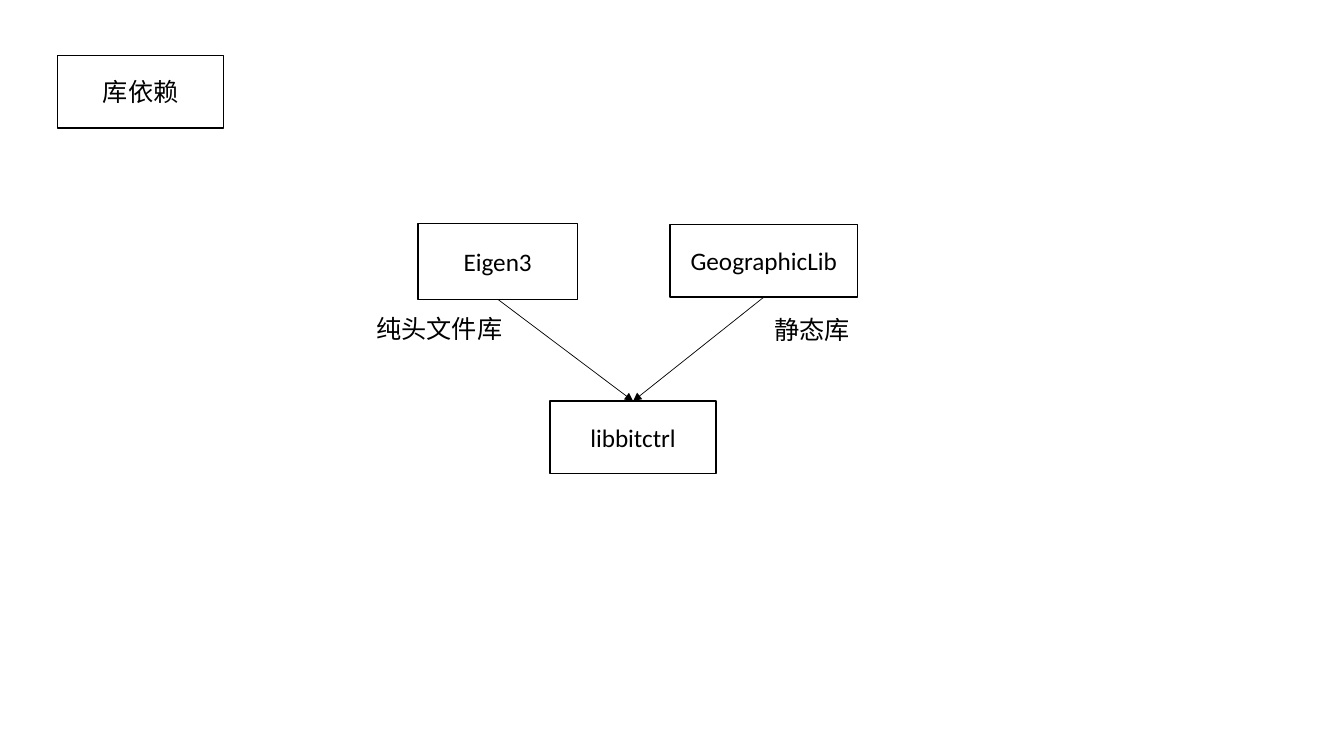
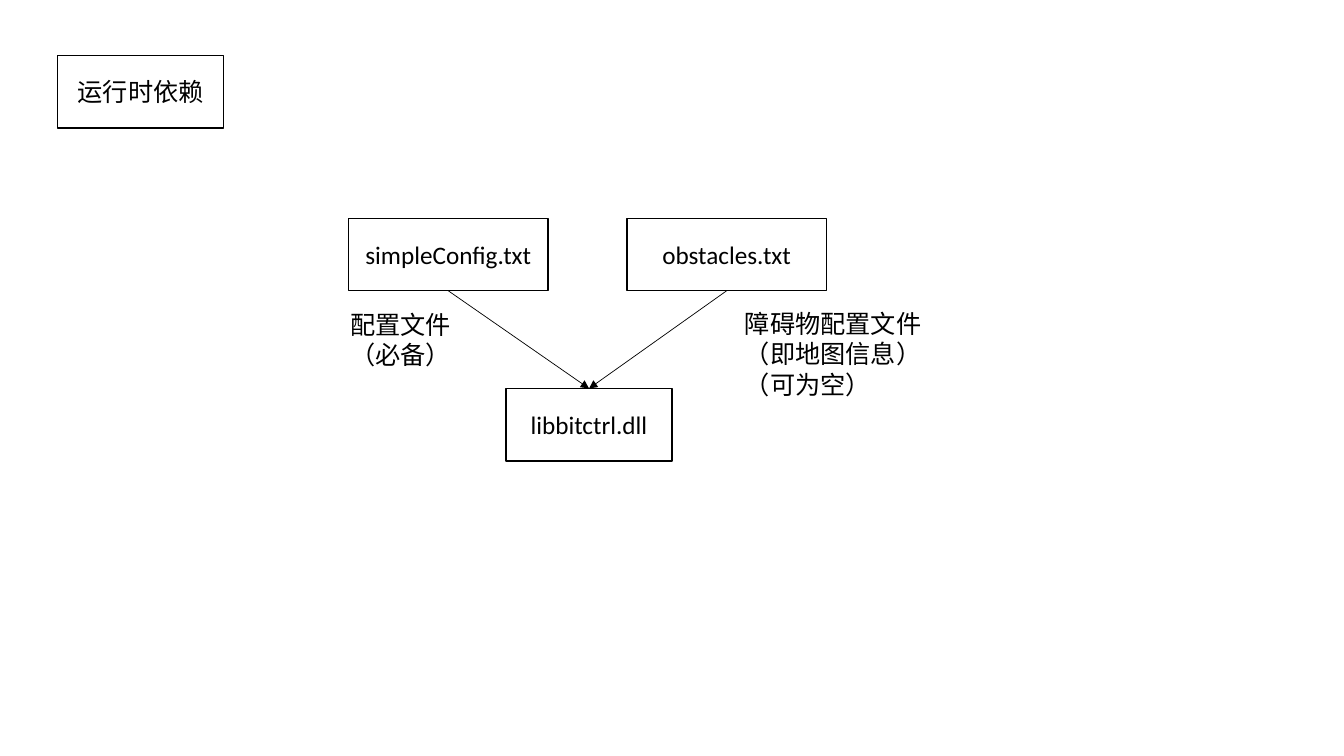
from dataclasses import dataclass

from lxml import etree
from pptx import Presentation
from pptx.dml.color import RGBColor
from pptx.enum.shapes import MSO_CONNECTOR, MSO_SHAPE
from pptx.enum.text import MSO_ANCHOR, MSO_AUTO_SIZE, PP_ALIGN
from pptx.oxml.ns import qn
from pptx.util import Pt

RECTANGLE = MSO_SHAPE.RECTANGLE
STRAIGHT = MSO_CONNECTOR.STRAIGHT
LEFT, CENTER = PP_ALIGN.LEFT, PP_ALIGN.CENTER
TOP, MIDDLE = MSO_ANCHOR.TOP, MSO_ANCHOR.MIDDLE
FIT_SHAPE = MSO_AUTO_SIZE.SHAPE_TO_FIT_TEXT
EMU_PER_PX = 9525
TOP_SITE, BOTTOM_SITE = 0, 2
BLANK_LAYOUT = 6


@dataclass(frozen=True)
class Theme:
    ink: RGBColor = RGBColor(0, 0, 0)
    paper: RGBColor = RGBColor(255, 255, 255)
    font: str = "Calibri"
    text_size: float = 18
    box_line: float = 1
    arrow_line: float = 0.5
    box_width: int = 158
    box_height: int = 69


THEME = Theme()


def px(*lengths):
    return [length * EMU_PER_PX for length in lengths]


def write(frame, text, align=LEFT, anchor=TOP):
    """Fill a text frame, one paragraph for each line of text."""
    frame.word_wrap = True
    frame.vertical_anchor = anchor
    frame.text = text
    for paragraph in frame.paragraphs:
        paragraph.alignment = align
        font = paragraph.font
        font.name = THEME.font
        font.size = Pt(THEME.text_size)
        font.color.rgb = THEME.ink


def add_box(slide, text, left, top, width=THEME.box_width, height=THEME.box_height):
    box = slide.shapes.add_shape(RECTANGLE, *px(left, top, width, height))
    box.shadow.inherit = False
    box.fill.background()
    box.line.color.rgb = THEME.ink
    box.line.width = Pt(THEME.box_line)
    write(box.text_frame, text, align=CENTER, anchor=MIDDLE)
    return box


def add_label(slide, text, left, top, width, height):
    label = slide.shapes.add_textbox(*px(left, top, width, height))
    write(label.text_frame, text)
    label.text_frame.auto_size = FIT_SHAPE


def add_arrow(slide, source, target):
    """Join the bottom of source to the top of target."""
    arrow = slide.shapes.add_connector(STRAIGHT, 0, 0, 0, 0)
    arrow.begin_connect(source, BOTTOM_SITE)
    arrow.end_connect(target, TOP_SITE)
    arrow.line.color.rgb = THEME.ink
    arrow.line.width = Pt(THEME.arrow_line)
    etree.SubElement(arrow.line._get_or_add_ln(), qn("a:tailEnd"), type="triangle")
    etree.SubElement(arrow._element.spPr, qn("a:effectLst"))


def add_dependency_slide(prs, title, library, dependencies):
    """Each dependency is a pair: box arguments and label arguments."""
    slide = prs.slides.add_slide(prs.slide_layouts[BLANK_LAYOUT])
    slide.background.fill.solid()
    slide.background.fill.fore_color.rgb = THEME.paper
    add_box(slide, title, 55, 53)
    library_box = add_box(slide, *library)
    for box, label in dependencies:
        add_arrow(slide, add_box(slide, *box), library_box)
        add_label(slide, *label)


def main():
    prs = Presentation()
    prs.slide_width, prs.slide_height = px(1280, 720)
    add_dependency_slide(prs, "库依赖", ("libbitctrl", 524, 382), [
        (("Eigen3", 398, 213, 152, 72), ("纯头文件库", 349, 294, 141, 38)),
        (("GeographicLib", 638, 214, 179), ("静态库", 728, 295, 125, 38)),
    ])
    add_dependency_slide(prs, "运行时依赖", ("libbitctrl.dll", 482, 370), [
        (("simpleConfig.txt", 332, 208, 190),
         ("配置文件\n（必备）", 324, 290, 133, 68)),
        (("obstacles.txt", 597, 208, 190),
         ("障碍物配置文件\n（即地图信息）\n（可为空）", 700, 289, 190, 97)),
    ])
    prs.save("out.pptx")


if __name__ == "__main__":
    main()
